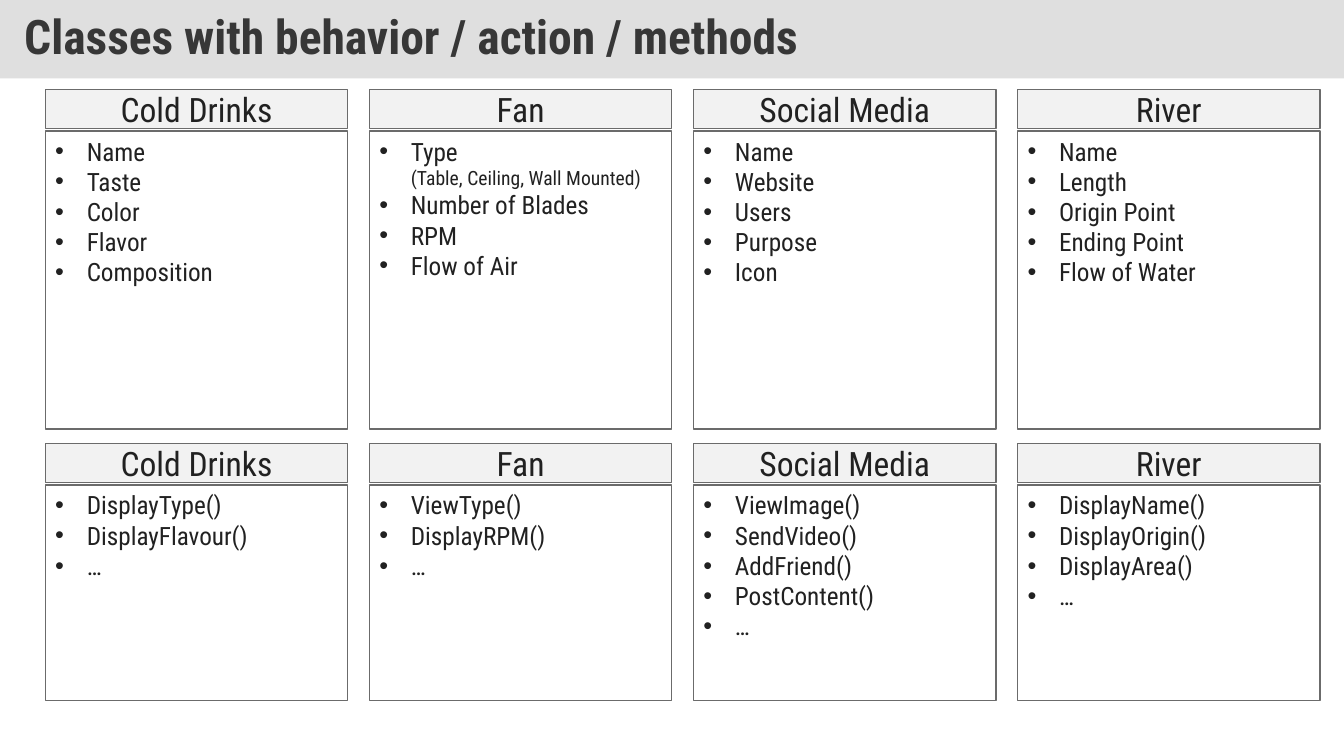
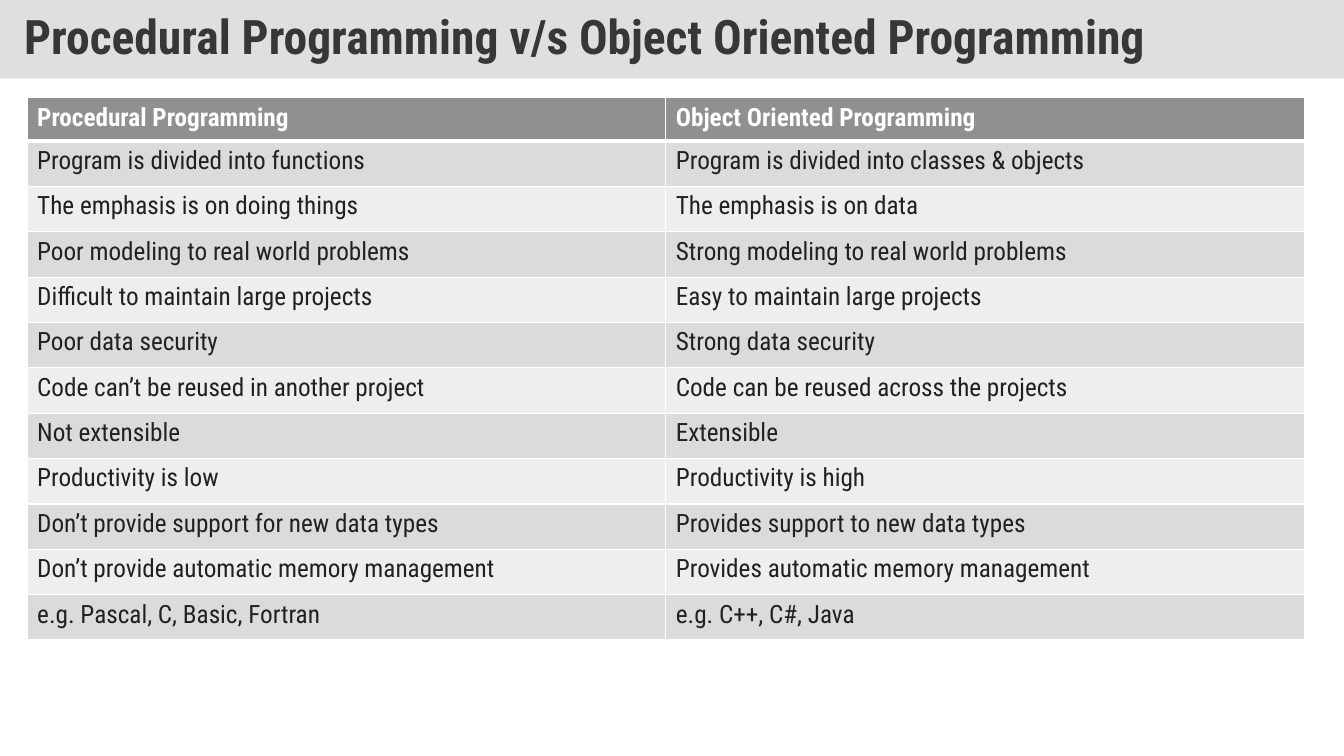
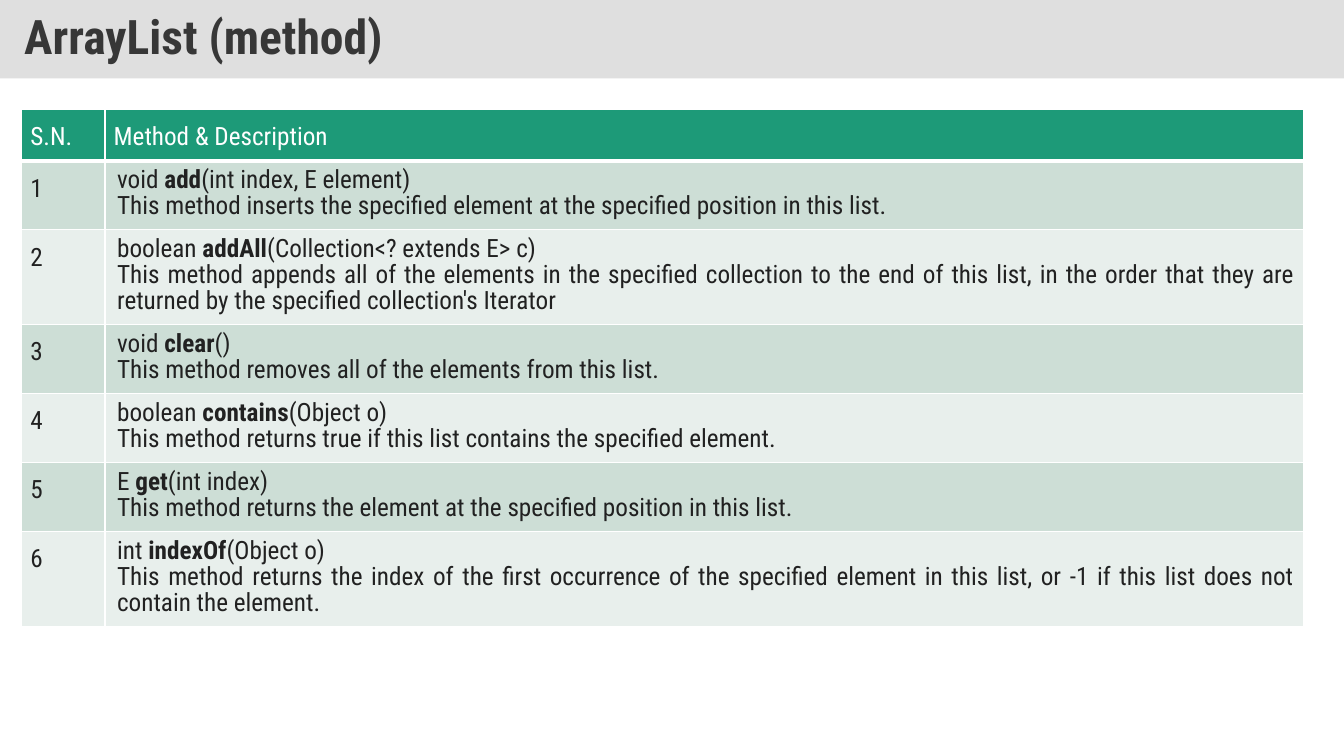
from dataclasses import dataclass

from lxml import etree
from pptx import Presentation
from pptx.dml.color import RGBColor
from pptx.enum.shapes import MSO_SHAPE
from pptx.enum.text import MSO_ANCHOR, PP_ALIGN
from pptx.oxml.ns import qn
from pptx.util import Pt

RECTANGLE = MSO_SHAPE.RECTANGLE
TOP, MIDDLE = MSO_ANCHOR.TOP, MSO_ANCHOR.MIDDLE
LEFT, CENTER, JUSTIFY = PP_ALIGN.LEFT, PP_ALIGN.CENTER, PP_ALIGN.JUSTIFY


@dataclass(frozen=True)
class Theme:
    font: str = "Roboto Condensed"
    title_size: float = 34
    heading_size: float = 24
    body_size: float = 18
    note_size: float = 14
    title: str = "373737"
    text: str = "212121"
    white: str = "FFFFFF"
    band: str = "DFDFDF"
    heading_fill: str = "F2F2F2"
    outline: str = "6B6B6B"
    gray_header: str = "909090"
    gray_rows: tuple = ("DBDBDB", "EEEEEE")
    green_header: str = "1D9A78"
    green_rows: tuple = ("CDDED6", "E8EFEC")


THEME = Theme()


def style_paragraph(para, size, color, bold=False, align=LEFT):
    para.alignment = align
    font = para.font
    font.name, font.size, font.bold = THEME.font, Pt(size), bold
    font.color.rgb = RGBColor.from_string(color)


def paint_cell(cell, fill, is_header):
    """Give a table cell its white borders and its fill."""
    properties = cell._tc.get_or_add_tcPr()
    widths = {"a:lnL": 1, "a:lnR": 1, "a:lnT": 1, "a:lnB": 3 if is_header else 1}
    if not is_header:
        del widths["a:lnT"]
    for tag, width in widths.items():
        line = etree.SubElement(properties, qn(tag), w=str(Pt(width)))
        solid = etree.SubElement(line, qn("a:solidFill"))
        etree.SubElement(solid, qn("a:srgbClr"), val=THEME.white)
    cell.fill.solid()
    cell.fill.fore_color.rgb = RGBColor.from_string(fill)


deck = Presentation()
deck.slide_width, deck.slide_height = Pt(960), Pt(540)

# Title bands
titles = [
    "Classes with behavior / action / methods",
    "Procedural Programming v/s Object Oriented Programming",
    "ArrayList (method)",
]
pages = []
for title in titles:
    page = deck.slides.add_slide(deck.slide_layouts[6])
    band = page.shapes.add_shape(RECTANGLE, 0, 0, deck.slide_width, Pt(56))
    band.shadow.inherit = False
    band.fill.solid()
    band.fill.fore_color.rgb = RGBColor.from_string(THEME.band)
    band.line.fill.background()
    frame = band.text_frame
    frame.word_wrap = True
    frame.vertical_anchor = MIDDLE
    frame.margin_left = frame.margin_right = Pt(17.28)
    frame.margin_top = frame.margin_bottom = Pt(8.64)
    para = frame.paragraphs[0]
    para.text = title
    para.line_spacing = 0.9
    style_paragraph(para, THEME.title_size, THEME.title, bold=True)
    pages.append(page)
classes_page, comparison_page, methods_page = pages

# Slide 1: attributes above, methods below
classes = [
    ("Cold Drinks",
     ["Name", "Taste", "Color", "Flavor", "Composition"],
     ["DisplayType()", "DisplayFlavour()", "…"]),
    ("Fan",
     ["Type\n(Table, Ceiling, Wall Mounted)", "Number of Blades", "RPM", "Flow of Air"],
     ["ViewType()", "DisplayRPM()", "…"]),
    ("Social Media",
     ["Name", "Website", "Users", "Purpose", "Icon"],
     ["ViewImage()", "SendVideo()", "AddFriend()", "PostContent()", "…"]),
    ("River",
     ["Name", "Length", "Origin Point", "Ending Point", "Flow of Water"],
     ["DisplayName()", "DisplayOrigin()", "DisplayArea()", "…"]),
]
card_rows = [(64, 213), (316.8, 154)]  # top of the heading, height of the list
heading_height, list_offset = 28, 29.5
for column, (name, *lists) in enumerate(classes):
    left = 32.4 + column * 231.5
    for items, (top, list_height) in zip(lists, card_rows):
        parts = [
            (top + list_offset, list_height, THEME.white, TOP, items),
            (top, heading_height, THEME.heading_fill, MIDDLE, [name]),
        ]
        for box_top, height, fill, anchor, lines in parts:
            box = classes_page.shapes.add_shape(
                RECTANGLE, Pt(left), Pt(box_top), Pt(216), Pt(height))
            box.shadow.inherit = False
            box.fill.solid()
            box.fill.fore_color.rgb = RGBColor.from_string(fill)
            box.line.color.rgb = RGBColor.from_string(THEME.outline)
            box.line.width = Pt(1)
            frame = box.text_frame
            frame.word_wrap = True
            frame.vertical_anchor = anchor
            for index, line in enumerate(lines):
                para = frame.add_paragraph() if index else frame.paragraphs[0]
                text, _, note = line.partition("\n")
                para.add_run().text = text
                if note:
                    para.add_line_break()
                    note_run = para.add_run()
                    note_run.text = note
                    note_run.font.size = Pt(THEME.note_size)
                if lines is items:
                    properties = para._p.get_or_add_pPr()
                    properties.set("marL", str(Pt(22.5)))
                    properties.set("indent", str(-Pt(22.5)))
                    etree.SubElement(properties, qn("a:buFont"), typeface="Arial")
                    etree.SubElement(properties, qn("a:buChar"), char="•")
                    style_paragraph(para, THEME.body_size, THEME.text)
                else:
                    style_paragraph(para, THEME.heading_size, THEME.text, align=CENTER)

# Slide 2: comparison table
comparison = [
    ("Procedural Programming", "Object Oriented Programming"),
    ("Program is divided into functions", "Program is divided into classes & objects"),
    ("The emphasis is on doing things", "The emphasis is on data"),
    ("Poor modeling to real world problems", "Strong modeling to real world problems"),
    ("Difficult to maintain large projects", "Easy to maintain large projects"),
    ("Poor data security", "Strong data security"),
    ("Code can’t be reused in another project", "Code can be reused across the projects"),
    ("Not extensible", "Extensible"),
    ("Productivity is low", "Productivity is high"),
    ("Don’t provide support for new data types", "Provides support to new data types"),
    ("Don’t provide automatic memory management", "Provides automatic memory management"),
    ("e.g. Pascal, C, Basic, Fortran", "e.g. C++, C#, Java"),
]
table = comparison_page.shapes.add_table(
    len(comparison), 2, Pt(19.4), Pt(69.8), Pt(912.4), Pt(387.4)).table
for row, texts in enumerate(comparison):
    is_header = row == 0
    table.rows[row].height = Pt(31 if is_header else 32.4)
    fill = THEME.gray_header if is_header else THEME.gray_rows[(row - 1) % 2]
    for column, text in enumerate(texts):
        cell = table.cell(row, column)
        paint_cell(cell, fill, is_header)
        para = cell.text_frame.paragraphs[0]
        para.text = text
        style_paragraph(para, THEME.body_size,
                        THEME.white if is_header else THEME.text, bold=is_header)

# Slide 3: method table
methods = [
    ("void ", "add", "(int index, E element)",
     "This method inserts the specified element at the specified position in this list."),
    ("boolean ", "addAll", "(Collection<? extends E> c)",
     "This method appends all of the elements in the specified collection to the end of "
     "this list, in the order that they are returned by the specified collection's Iterator"),
    ("void ", "clear", "()",
     "This method removes all of the elements from this list."),
    ("boolean ", "contains", "(Object o)",
     "This method returns true if this list contains the specified element."),
    ("E ", "get", "(int index)",
     "This method returns the element at the specified position in this list."),
    ("int ", "indexOf", "(Object o)",
     "This method returns the index of the first occurrence of the specified element in "
     "this list, or -1 if this list does not contain the element."),
]
# Each cell is a list of paragraphs, each paragraph a list of runs
method_rows = [([["S.N."]], [["Method & Description"]])]
for number, (*signature, description) in enumerate(methods, start=1):
    method_rows.append(([[str(number)]], [signature, [description]]))

table = methods_page.shapes.add_table(
    len(method_rows), 2, Pt(15.5), Pt(78), Pt(916), Pt(206.5)).table
table.columns[0].width, table.columns[1].width = Pt(59.5), Pt(856.5)
for row, cells in enumerate(method_rows):
    is_header = row == 0
    table.rows[row].height = Pt(29.5)
    fill = THEME.green_header if is_header else THEME.green_rows[(row - 1) % 2]
    color = THEME.white if is_header else THEME.text
    for column, paragraphs in enumerate(cells):
        cell = table.cell(row, column)
        paint_cell(cell, fill, is_header)
        cell.margin_left = cell.margin_right = Pt(6.25)
        cell.margin_top = cell.margin_bottom = Pt(6.25)
        is_description = column == 1 and not is_header
        for index, spans in enumerate(paragraphs):
            frame = cell.text_frame
            para = frame.add_paragraph() if index else frame.paragraphs[0]
            for position, text in enumerate(spans):
                span = para.add_run()
                span.text = text
                if position == 1:
                    span.font.bold = True
            para.line_spacing = Pt(18.4) if is_description else 1.15
            if is_description:
                para._p.get_or_add_pPr().set("marL", str(Pt(2.4)))
            style_paragraph(para, THEME.body_size, color,
                            align=JUSTIFY if is_description else LEFT)

deck.save("out.pptx")
